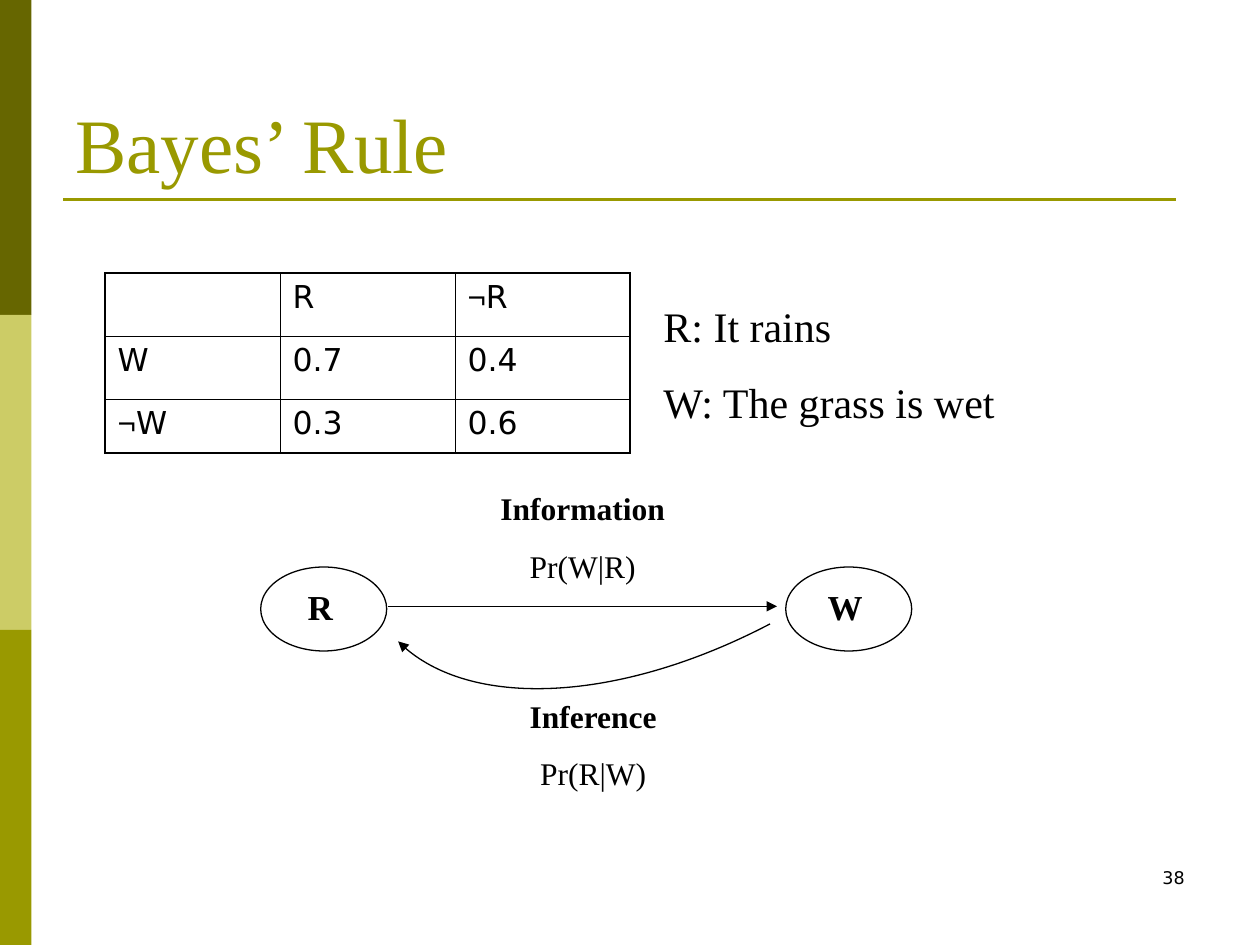
"""Build the Bayes' Rule slide with its probability table and inference diagram."""
from dataclasses import dataclass

from lxml.etree import SubElement
from pptx import Presentation
from pptx.dml.color import RGBColor
from pptx.enum.shapes import MSO_CONNECTOR, MSO_SHAPE
from pptx.enum.text import MSO_ANCHOR, MSO_AUTO_SIZE, PP_ALIGN
from pptx.oxml.ns import qn
from pptx.util import Pt


@dataclass(frozen=True)
class Theme:
    ink: RGBColor = RGBColor.from_string("000000")
    olive: RGBColor = RGBColor.from_string("999900")
    dark_olive: RGBColor = RGBColor.from_string("666600")
    light_olive: RGBColor = RGBColor.from_string("CCCC66")
    serif: str = "Times New Roman"
    sans: str = "DejaVu Sans"
    symbol: str = "Arial"
    title_size: int = 44
    legend_size: int = 24
    node_size: int = 20
    label_size: int = 18
    number_size: int = 10


theme = Theme()


def write_text(frame, lines, size, font=theme.serif, color=theme.ink, align=PP_ALIGN.LEFT, before=0, bold=False):
    frame.word_wrap = True
    frame.text = "\n".join(lines)
    for position, para in enumerate(frame.paragraphs):
        para.alignment = align
        para.space_before = Pt(before)
        for span in para.runs:
            span.font.size = Pt(size)
            span.font.name = font
            span.font.color.rgb = color
            span.font.bold = bold and position == 0


def style_line(shape, color, width, arrow=False):
    shape.line.color.rgb = color
    shape.line.width = Pt(width)
    properties = shape.element.spPr
    if arrow:
        SubElement(properties.find(qn("a:ln")), qn("a:tailEnd"), type="triangle")
    SubElement(properties, qn("a:effectLst"))


deck = Presentation()
deck.slide_width, deck.slide_height = Pt(720), Pt(540)
page = deck.slides.add_slide(deck.slide_layouts[5])
shapes = page.shapes

for index, color in enumerate((theme.dark_olive, theme.light_olive, theme.olive)):
    band = shapes.add_shape(MSO_SHAPE.RECTANGLE, 0, Pt(180 * index), Pt(18), Pt(180))
    band.fill.solid()
    band.fill.fore_color.rgb = color
    band.line.fill.background()
    band.shadow.inherit = False

title = shapes.title
title.left, title.top, title.width, title.height = Pt(36), Pt(21.6), Pt(648), Pt(90)
write_text(title.text_frame, ["Bayes’ Rule"], theme.title_size, color=theme.olive)
title.text_frame.vertical_anchor = MSO_ANCHOR.BOTTOM
title.text_frame.auto_size = MSO_AUTO_SIZE.NONE

title_rule = shapes.add_connector(MSO_CONNECTOR.STRAIGHT, Pt(36), Pt(114), Pt(672), Pt(114))
style_line(title_rule, theme.olive, 1.5)

number_box = shapes.add_textbox(Pt(516), Pt(492), Pt(168), Pt(36))
write_text(number_box.text_frame, ["38"], theme.number_size, theme.sans, align=PP_ALIGN.RIGHT)

rows = [["", "R", "¬R"], ["W", "0.7", "0.4"], ["¬W", "0.3", "0.6"]]
table = shapes.add_table(3, 3, Pt(60), Pt(156), Pt(300), Pt(103)).table
table.first_row = table.horz_banding = False
for column in table.columns:
    column.width = Pt(100)
for row, height in zip(table.rows, (36, 36, 31)):
    row.height = Pt(height)
for row_index, row in enumerate(rows):
    for column_index, text in enumerate(row):
        cell = table.cell(row_index, column_index)
        write_text(cell.text_frame, [text], theme.label_size, theme.sans, before=4.5)
        if text.startswith("¬"):
            para = cell.text_frame.paragraphs[0]
            para.runs[0].text = "¬"
            para.runs[0].font.name = theme.symbol
            letter = para.add_run()
            letter.text = text[1:]
            letter.font.size = Pt(theme.label_size)
            letter.font.name = theme.sans
            letter.font.color.rgb = theme.ink
        outer_edges = {"L": column_index == 0, "R": column_index == 2, "T": row_index == 0, "B": row_index == 2}
        cell_properties = cell.fill and cell.text_frame and cell._tc.get_or_add_tcPr()
        for side, outer in outer_edges.items():
            border = SubElement(cell_properties, qn(f"a:ln{side}"), w=str(Pt(1.08 if outer else 0.45)))
            SubElement(SubElement(border, qn("a:solidFill")), qn("a:srgbClr"), val=str(theme.ink))
        cell.fill.background()

text_boxes = [
    (372, 168, 312, 80, ["R: It rains", "W: The grass is wet"], theme.legend_size, PP_ALIGN.LEFT, 15, False),
    (276, 276, 114, 62, ["Information", "Pr(W|R)"], theme.label_size, PP_ALIGN.CENTER, 11.2, True),
    (282, 394.5, 114, 62, ["Inference", "Pr(R|W)"], theme.label_size, PP_ALIGN.CENTER, 11.2, True),
]
for left, top, width, height, lines, size, align, before, bold in text_boxes:
    box = shapes.add_textbox(Pt(left), Pt(top), Pt(width), Pt(height))
    write_text(box.text_frame, lines, size, align=align, before=before, bold=bold)
    box.text_frame.auto_size = MSO_AUTO_SIZE.SHAPE_TO_FIT_TEXT

for left, name in ((144, "R"), (444, "W")):
    node = shapes.add_group_shape()
    oval = node.shapes.add_shape(MSO_SHAPE.OVAL, Pt(left + 5), Pt(324), Pt(72), Pt(48))
    oval.fill.background()
    style_line(oval, theme.ink, 0.75)
    label = node.shapes.add_textbox(Pt(left), Pt(331), Pt(78), Pt(32))
    write_text(label.text_frame, [name], theme.node_size, align=PP_ALIGN.CENTER, before=12.5, bold=True)

information_arrow = shapes.add_connector(MSO_CONNECTOR.STRAIGHT, Pt(222), Pt(346.5), Pt(444), Pt(346.5))
style_line(information_arrow, theme.ink, 0.75, arrow=True)

builder = shapes.build_freeform(Pt(440), Pt(356.5))
builder.add_line_segments([(Pt(355), Pt(401)), (Pt(266), Pt(405.5)), (Pt(227.5), Pt(366.5))], close=False)
inference_arrow = builder.convert_to_shape()
outline = inference_arrow.element.spPr.find(".//" + qn("a:path"))
curve = SubElement(outline, qn("a:cubicBezTo"))
for segment in outline.findall(qn("a:lnTo")):
    curve.append(segment[0])
    outline.remove(segment)
inference_arrow.fill.background()
style_line(inference_arrow, theme.ink, 0.75, arrow=True)

deck.save("out.pptx")
